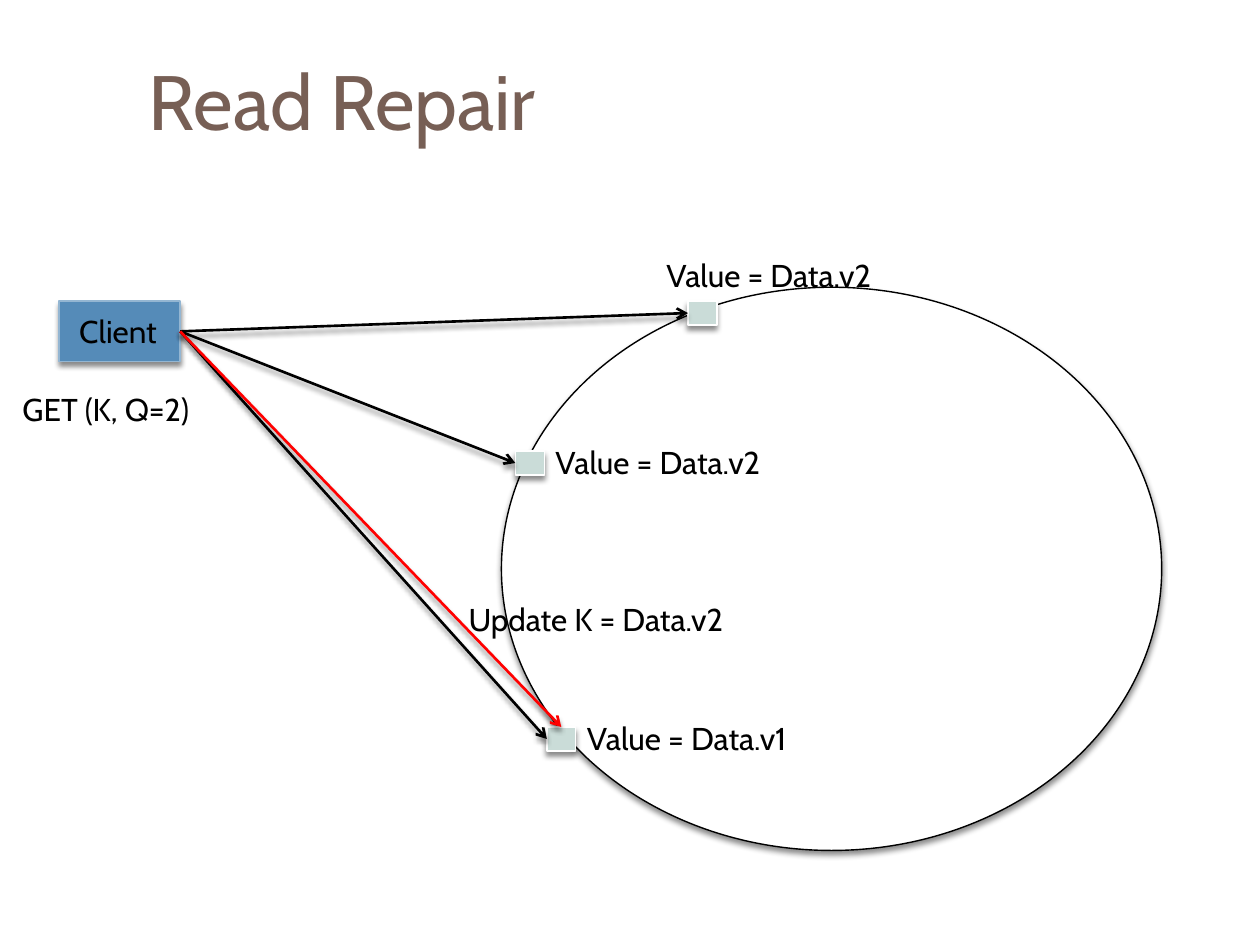
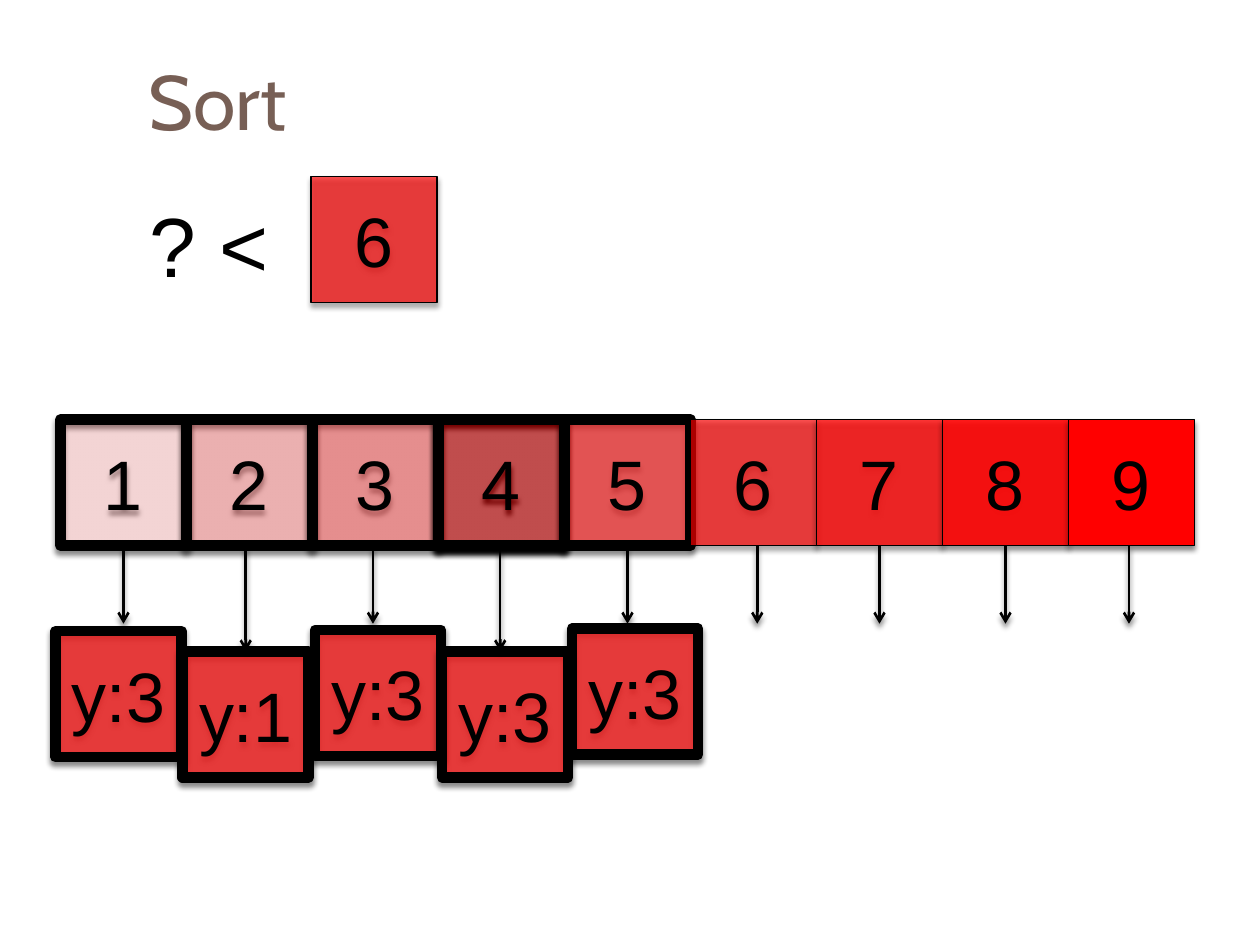
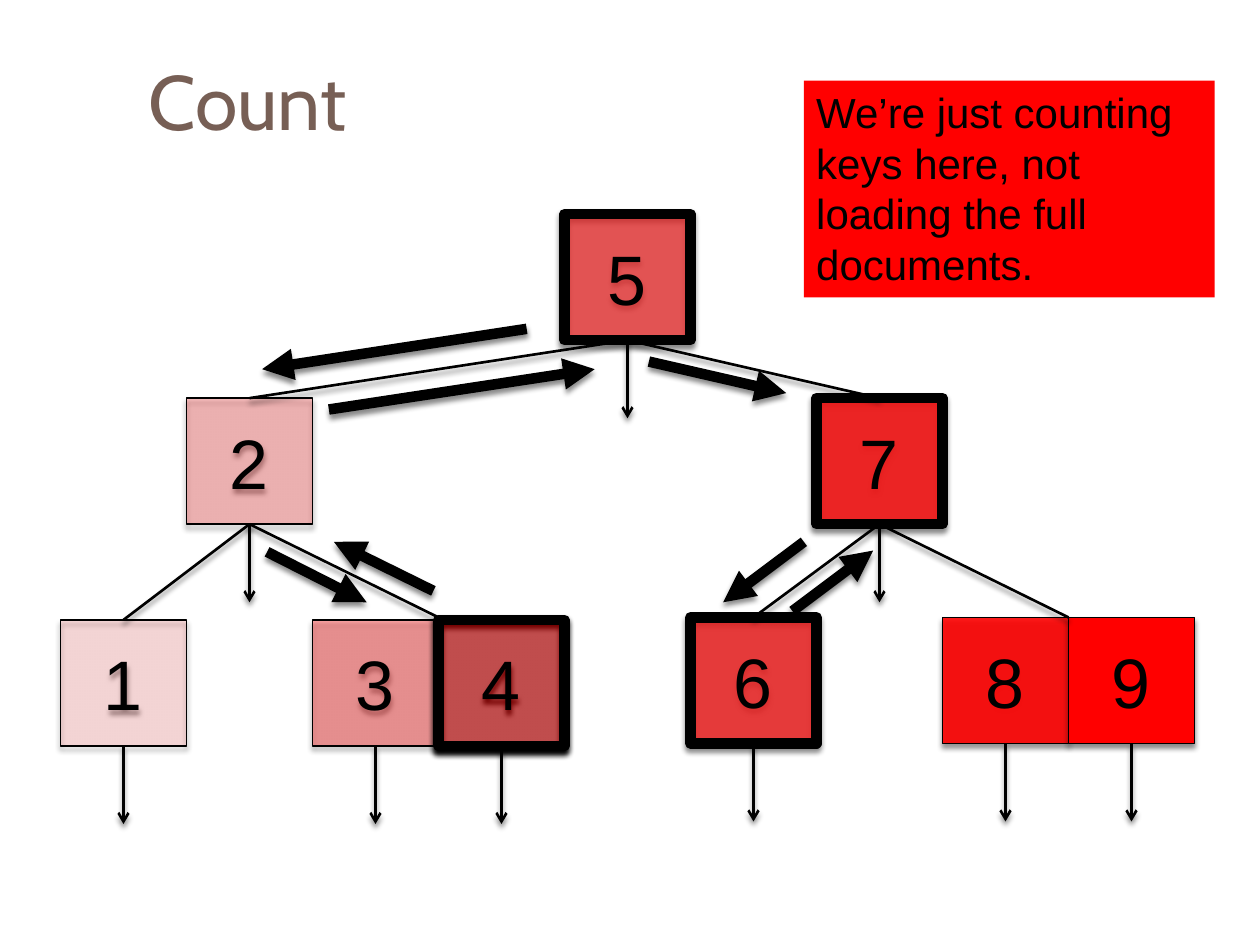
from lxml import etree
from pptx import Presentation
from pptx.dml.color import RGBColor
from pptx.enum.shapes import MSO_CONNECTOR, MSO_SHAPE as Preset
from pptx.enum.text import MSO_ANCHOR as Anchor, MSO_AUTO_SIZE as AutoSize, PP_ALIGN as Align
from pptx.oxml.ns import qn
from pptx.util import Inches, Pt

BLACK = RGBColor(0x00, 0x00, 0x00)
WHITE = RGBColor(0xFF, 0xFF, 0xFF)
RED = RGBColor(0xFF, 0x00, 0x00)
BROWN = RGBColor(0x77, 0x5F, 0x55)
MINT = RGBColor(0xCA, 0xDC, 0xD8)
CLIENT_BLUE = RGBColor(0x55, 0x8B, 0xB8)
CLIENT_EDGE = RGBColor(0x94, 0xB6, 0xD2)

HEADING_FONT = "Cabin"
CELL_FONT = "Arial"
THIN, MEDIUM, THICK = 0.79, 1.5, 6
CELL = 1.0
DROP = 0.62
TOP, LEFT, BOTTOM, RIGHT = range(4)


def write(shape, text, *, size=18, font=HEADING_FONT, color=BLACK,
          align=Align.LEFT, anchor=Anchor.TOP, wrap=True, fit=AutoSize.NONE):
    frame = shape.text_frame
    frame.word_wrap = wrap
    frame.auto_size = fit
    frame.vertical_anchor = anchor
    para = frame.paragraphs[0]
    para.alignment = align
    span = para.add_run()
    span.text = text
    span.font.size = Pt(size)
    span.font.name = font
    span.font.color.rgb = color


def add_label(page, text, left, top, width, height=0.4, **text_format):
    box = page.shapes.add_textbox(Inches(left), Inches(top), Inches(width), Inches(height))
    write(box, text, wrap=False, fit=AutoSize.SHAPE_TO_FIT_TEXT, **text_format)


def cast_shadow(shape):
    """Give a shape or connector the soft shadow that falls straight down."""
    properties = shape._element.spPr
    effects = properties.find(qn("a:effectLst"))
    if effects is None:
        effects = etree.SubElement(properties, qn("a:effectLst"))
    shadow = etree.SubElement(effects, qn("a:outerShdw"), blurRad=str(Pt(3)),
                              dist=str(Pt(2.4)), dir="5400000", rotWithShape="0")
    color = etree.SubElement(shadow, qn("a:srgbClr"), val=str(BLACK))
    etree.SubElement(color, qn("a:alpha"), val="45000")


def add_block(page, preset, left, top, width, height, fill, edge=None, edge_width=THIN,
              opacity=100, shadow=True):
    block = page.shapes.add_shape(preset, Inches(left), Inches(top),
                                  Inches(width), Inches(height))
    block.fill.solid()
    block.fill.fore_color.rgb = fill
    if opacity < 100:
        color = block._element.spPr.find(qn("a:solidFill"))[0]
        etree.SubElement(color, qn("a:alpha"), val=str(opacity * 1000))
    if edge is None:
        block.line.fill.background()
    else:
        block.line.color.rgb = edge
        block.line.width = Pt(edge_width)
    block.shadow.inherit = False
    if shadow:
        cast_shadow(block)
    return block


def add_line(page, start, end, color=BLACK, width=MEDIUM, arrow=None):
    """Draw a line; each end is an (x, y) point or a (shape, side) joint."""
    points = [(0, 0) if hasattr(tip[0], "shape_id") else tip for tip in (start, end)]
    line = page.shapes.add_connector(MSO_CONNECTOR.STRAIGHT,
                                     *(Inches(value) for point in points for value in point))
    if points[0] is not start:
        line.begin_connect(*start)
    if points[1] is not end:
        line.end_connect(*end)
    line.line.color.rgb = color
    line.line.width = Pt(width)
    if arrow:
        etree.SubElement(line.line._get_or_add_ln(), qn("a:tailEnd"), type=arrow)
    cast_shadow(line)


def add_titled_page(deck, text):
    page = deck.slides.add_slide(deck.slide_layouts[5])
    title = page.shapes.title
    title.left, title.top, title.width, title.height = map(Inches, (1.08, 0.25, 8.92, 1.08))
    write(title, text, size=44, color=BROWN, anchor=Anchor.MIDDLE)
    return page


def add_cell(page, text, left, top, shade, marked=False):
    """Draw a key square; shade 1 to 9 goes from pale to full red."""
    cell = add_block(page, Preset.RECTANGLE, left, top, CELL, CELL, RED, BLACK,
                     THICK if marked else THIN, opacity=1 + 11 * shade)
    write(cell, text, size=40, font=CELL_FONT, align=Align.CENTER, anchor=Anchor.MIDDLE)
    return cell


def add_client(page, left, top):
    client = add_block(page, Preset.FLOWCHART_PROCESS, left, top, 0.96, 0.48,
                       CLIENT_BLUE, CLIENT_EDGE)
    add_label(page, "Client", left + 0.06, top + 0.04, 0.85)
    add_label(page, "GET (K, Q=2)", left - 0.39, top + 0.66, 1.75)
    return client


def add_replica_ring(page, left, top):
    """Draw the ring with its replicas and return the replicas from top to bottom."""
    add_block(page, Preset.FLOWCHART_CONNECTOR, left, top, 5.24, 4.47, WHITE, BLACK)
    beside = (0.22, -0.11)
    replicas = []
    for x, y, version, (label_x, label_y) in (
        (1.48, 0.11, "v2", (-0.27, -0.41)),
        (0.11, 1.30, "v2", beside),
        (0.36, 3.49, "v1", beside),
    ):
        x, y = left + x, top + y
        replicas.append(add_block(page, Preset.FLOWCHART_PROCESS, x, y, 0.23, 0.19, MINT, WHITE))
        add_label(page, f"Value = Data.{version}", x + label_x, y + label_y, 1.99)
    return replicas


def build_read_repair(deck):
    page = add_titled_page(deck, "Read Repair")
    replicas = add_replica_ring(page, 3.98, 2.28)
    client = add_client(page, 0.47, 2.39)
    for replica in replicas:
        add_line(page, (client, RIGHT), (replica, LEFT), arrow="arrow")
    add_line(page, (client, RIGHT), (replicas[-1], TOP), color=RED, arrow="arrow")
    add_label(page, "Update K = Data.v2", 3.62, 4.71, 2.41)


def add_comparison(page, left, top):
    add_cell(page, "6", left + 1.38, top, shade=6)
    add_label(page, "? <", left, top + 0.09, 1.16, 0.91, size=48, font=CELL_FONT)


def add_sorted_row(page, left, top):
    """Draw the row of keys, an arrow below each, and the values of the marked keys."""
    cells = [add_cell(page, str(key), left + (key - 1) * CELL, top, key, marked=key <= 5)
             for key in range(1, 10)]
    long_drop = 0.84
    arrows = ((0.5, DROP), (1.47, long_drop), (2.48, DROP), (3.49, long_drop), (4.5, DROP),
              (5.53, DROP), (6.5, DROP), (7.5, DROP), (8.48, DROP))
    for column, (x, drop) in enumerate(arrows):
        centred = x == column + CELL / 2
        start = (cells[column], BOTTOM) if centred else (left + x, top + CELL)
        add_line(page, start, (left + x, top + CELL + drop), arrow="arrow")
    for text, x, y in (("y:3", -0.04, 1.68), ("y:1", 0.97, 1.84), ("y:3", 2.02, 1.67),
                       ("y:3", 3.03, 1.84), ("y:3", 4.06, 1.66)):
        add_cell(page, text, left + x, top + y, shade=6, marked=True)


def build_sort(deck):
    page = add_titled_page(deck, "Sort")
    add_comparison(page, 1.09, 1.40)
    add_sorted_row(page, 0.48, 3.33)


def add_key_tree(page, left, top):
    """Draw the tree of keys, the branches between them and the walk through it."""
    root, middle, left_leaf, right_leaf = 0, 1.46, 3.22, 3.20
    rows = (left_leaf, middle, left_leaf, left_leaf, root,
            right_leaf, middle, right_leaf, right_leaf)
    cells = {key: add_cell(page, str(key), left + (key - 1) * CELL, top + row, key,
                           marked=key in (4, 5, 6, 7))
             for key, row in enumerate(rows, 1)}

    for parent, child in ((2, 1), (5, 2), (5, 7), (7, 6)):
        add_line(page, (cells[parent], BOTTOM), (cells[child], TOP))
    for parent, x in ((2, 3), (7, 8)):
        add_line(page, (cells[parent], BOTTOM), (left + x, top + right_leaf))
    for key, row in enumerate(rows, 1):
        tip = (left + (key - 0.5) * CELL, top + row + CELL + DROP)
        add_line(page, (cells[key], BOTTOM), tip, arrow="arrow")

    for x1, y1, x2, y2 in (
        (3.70, 0.91, 1.60, 1.23),
        (1.64, 2.68, 2.43, 3.08),
        (2.96, 2.99, 2.17, 2.60),
        (2.13, 1.55, 4.24, 1.23),
        (4.67, 1.17, 5.76, 1.42),
        (5.90, 2.60, 5.26, 3.08),
        (5.81, 3.15, 6.45, 2.67),
    ):
        add_line(page, (left + x1, top + y1), (left + x2, top + y2),
                 width=THICK, arrow="triangle")


def add_callout(page, text, left, top, width, height):
    callout = add_block(page, Preset.RECTANGLE, left, top, width, height, RED, shadow=False)
    write(callout, text, size=24, font=CELL_FONT, fit=AutoSize.SHAPE_TO_FIT_TEXT)


def build_count(deck):
    page = add_titled_page(deck, "Count")
    add_key_tree(page, 0.48, 1.70)
    add_callout(page, "We’re just counting keys here, not loading the full documents.",
                6.38, 0.64, 3.26, 1.72)


def main():
    deck = Presentation()
    deck.slide_width, deck.slide_height = Inches(10), Inches(7.5)
    build_read_repair(deck)
    build_sort(deck)
    build_count(deck)
    deck.save("out.pptx")


if __name__ == "__main__":
    main()
